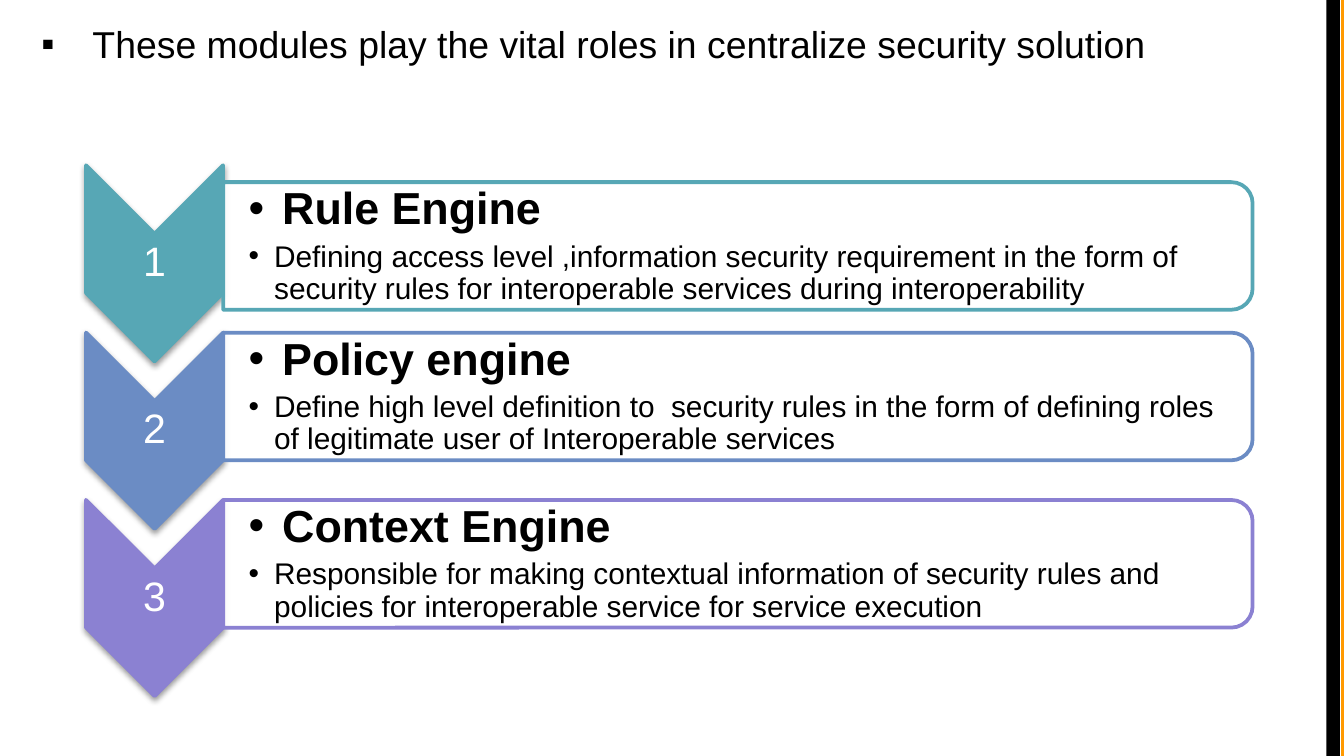
from collections import namedtuple

from lxml import etree
from pptx import Presentation
from pptx.dml.color import RGBColor
from pptx.enum.shapes import MSO_SHAPE as Shape
from pptx.enum.text import MSO_ANCHOR as Anchor, PP_ALIGN as Align
from pptx.oxml.ns import qn
from pptx.util import Inches, Pt

# The slide is a grid of 100 columns; rows have the same size
CELL = Inches(0.1)
COLUMNS, ROWS = 100, 56.25
COLORS = {
    "black": "000000", "white": "FFFFFF", "orange": "FF9900",
    "teal": "57A7B5", "blue": "6B8CC4", "violet": "8B81D2",
}
TITLE = "These modules play the vital roles in centralize security solution"
MODULES = [
    ("Rule Engine", "teal",
     "Defining access level ,information security requirement in the form of "
     "security rules for interoperable services during interoperability"),
    ("Policy engine", "blue",
     "Define high level definition to  security rules in the form of defining "
     "roles of legitimate user of Interoperable services"),
    ("Context Engine", "violet",
     "Responsible for making contextual information of security rules and "
     "policies for interoperable service for service execution"),
]
Box = namedtuple("Box", "left top width height")


def to_emu(box):
    return [round(value * CELL) for value in box]


def rgb(color):
    return RGBColor.from_string(COLORS[color])


def add_element(parent, tag, **attributes):
    return etree.SubElement(parent, qn(tag), {k: str(v) for k, v in attributes.items()})


def add_filled(slide, kind, box, fill, line=None, turned=False):
    """Add a shape that covers the box, optionally turned a quarter clockwise."""
    if turned:
        box = Box(box.left + (box.width - box.height) / 2,
                  box.top + (box.height - box.width) / 2, box.height, box.width)
    shape = slide.shapes.add_shape(kind, *to_emu(box))
    shape.rotation = 90 if turned else 0
    shape.shadow.inherit = False
    shape.fill.solid()
    shape.fill.fore_color.rgb = rgb(fill)
    if line:
        shape.line.color.rgb = rgb(line)
        shape.line.width = Pt(2)
    else:
        shape.line.fill.background()
    return shape


def add_text(slide, box, lines, margins=None):
    """Add a text box with one paragraph per line; margins are left and other."""
    text_frame = slide.shapes.add_textbox(*to_emu(box)).text_frame
    text_frame.word_wrap = True
    if margins:
        text_frame.margin_left = Inches(margins[0])
        text_frame.margin_top = text_frame.margin_right = Inches(margins[1])
        text_frame.margin_bottom = Inches(margins[1])
        text_frame.vertical_anchor = Anchor.MIDDLE
    text_frame.text = "\n".join(lines)
    return text_frame.paragraphs


def set_bullet(paragraph, character, indent):
    properties = paragraph._p.get_or_add_pPr()
    properties.set("marL", str(Inches(indent)))
    properties.set("indent", str(-Inches(indent)))
    color = add_element(properties, "a:buClr")
    add_element(color, "a:srgbClr", val=COLORS["black"])
    add_element(properties, "a:buFont", typeface="Arial")
    add_element(properties, "a:buChar", char=character)


def format_runs(paragraph, size, color="black", bold=False):
    for run in paragraph.runs:
        run.font.name = "Arial"
        run.font.size = Pt(size)
        run.font.bold = bold
        run.font.color.rgb = rgb(color)


def set_spacing(paragraph, after):
    paragraph.line_spacing = 0.9
    paragraph.space_after = Pt(after)


def add_side_bars(slide, box):
    for left, color in ((box.left + 1.1, "orange"), (box.left, "black")):
        add_filled(slide, Shape.RECTANGLE, Box(left, box.top, 1, box.height), color)


def add_title(slide, box):
    paragraph, = add_text(slide, box, [TITLE])
    set_bullet(paragraph, "▪", 0.38)
    format_runs(paragraph, 20)


def add_marker(slide, box, number, color):
    """Add a downward chevron with its number."""
    chevron = add_filled(slide, Shape.CHEVRON, box, color, color, turned=True)
    effects = chevron._element.spPr.find(qn("a:effectLst"))
    shadow = add_element(effects, "a:outerShdw", blurRad=Pt(3.1), dist=Pt(1.6),
                         dir=90 * 60000, rotWithShape=0)
    shade = add_element(shadow, "a:srgbClr", val=COLORS["black"])
    add_element(shade, "a:alpha", val=38000)
    # The label sits between the notch and the shoulders
    notch = box.width / 2
    label = Box(box.left, box.top + notch, box.width, box.height - 2 * notch)
    paragraph, = add_text(slide, label, [str(number)], (0.02, 0.02))
    paragraph.alignment = Align.CENTER
    set_spacing(paragraph, 7.7)
    format_runs(paragraph, 22, "white")


def add_panel(slide, box, heading, detail, color):
    """Add an outlined panel, rounded on the right, with heading and detail."""
    panel = add_filled(slide, Shape.ROUND_2_SAME_RECTANGLE, box, "white", color, turned=True)
    fill = panel._element.spPr.find(qn("a:solidFill"))
    add_element(fill[0], "a:alpha", val=90000)
    text_box = Box(box.left, box.top + 0.46, box.width - 0.46, box.height - 0.92)
    paragraphs = add_text(slide, text_box, [heading, detail], (0.19, 0.02))
    styles = ((24, 0.25, True), (16, 0.19, False))
    for paragraph, (size, indent, bold) in zip(paragraphs, styles):
        paragraph.level = 1
        set_spacing(paragraph, size * 0.15)
        set_bullet(paragraph, "•", indent)
        format_runs(paragraph, size, bold=bold)


def add_module_list(slide, box):
    marker_width, marker_height, panel_height = 10.2, 14.6, 9.5
    pitch = (box.height - marker_height) / (len(MODULES) - 1)
    for index, (heading, color, detail) in enumerate(MODULES):
        top = box.top + index * pitch
        add_marker(slide, Box(box.left, top, marker_width, marker_height), index + 1, color)
        # The first panel hangs a little lower than the others
        drop = 1.25 if index == 0 else 0
        panel = Box(box.left + marker_width, top + drop,
                    box.width - marker_width, panel_height)
        add_panel(slide, panel, heading, detail, color)


def main():
    presentation = Presentation()
    presentation.slide_width = COLUMNS * CELL
    presentation.slide_height = round(ROWS * CELL)
    slide = presentation.slides.add_slide(presentation.slide_layouts[6])
    add_side_bars(slide, Box(98.7, 0, 2.1, ROWS))
    add_title(slide, Box(2.1, 1.1, 92.2, 4.4))
    add_module_list(slide, Box(6.4, 12.3, 86.8, 39.5))
    presentation.save("out.pptx")


if __name__ == "__main__":
    main()
